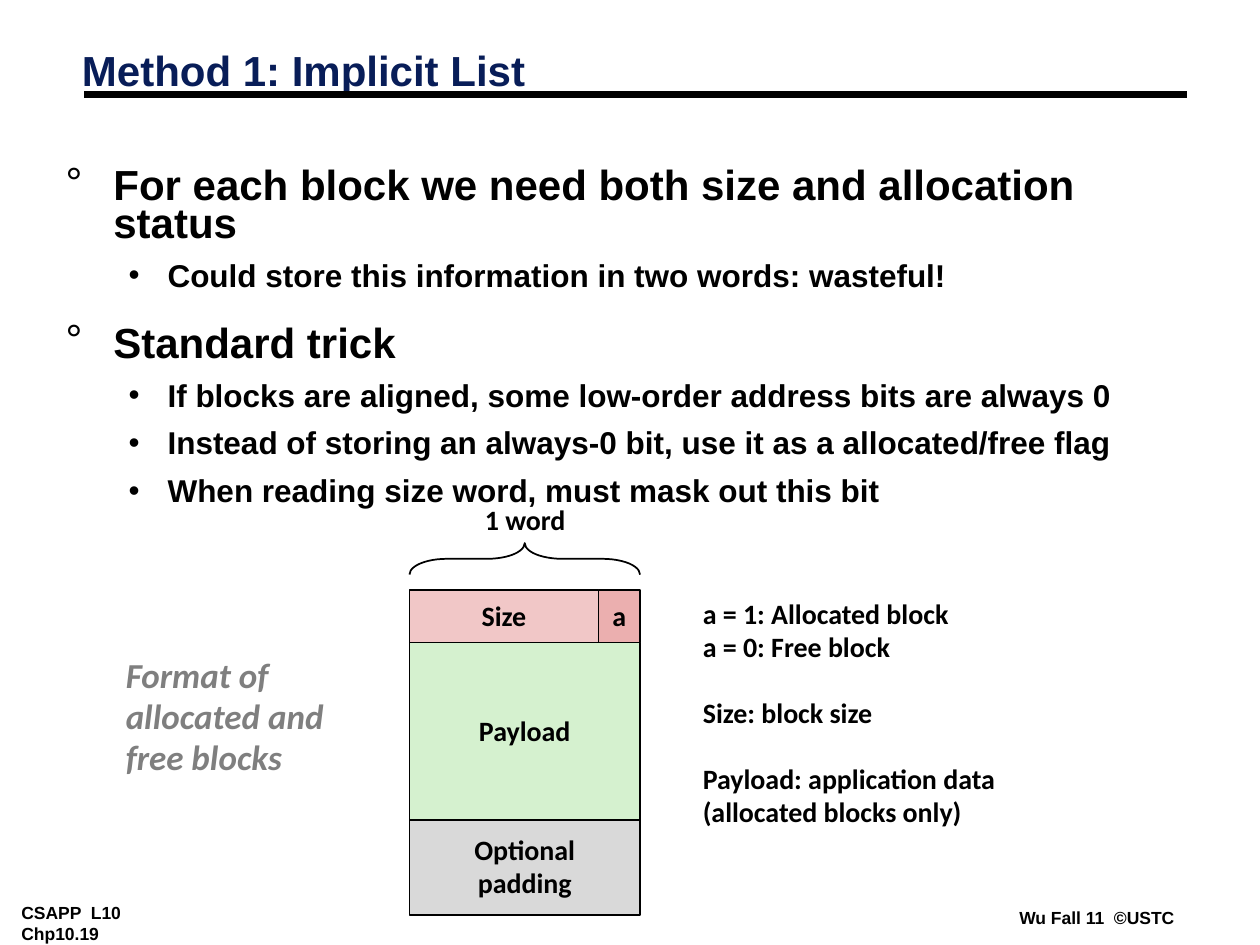
import dataclasses

import pptx
import pptx.dml.color
import pptx.enum.shapes
import pptx.enum.text
import pptx.oxml
import pptx.oxml.ns
import pptx.util
from pptx.util import Inches

ALIGN = pptx.enum.text.PP_ALIGN
ANCHOR = pptx.enum.text.MSO_ANCHOR
FIT = pptx.enum.text.MSO_AUTO_SIZE
SHAPES = pptx.enum.shapes.MSO_SHAPE


@dataclasses.dataclass(frozen=True)
class Theme:
    """Colours, fonts and type sizes of the slide."""
    ink: str = "000000"
    title: str = "081D58"
    caption: str = "7F7F7F"
    size_field: str = "F1C7C7"
    flag_field: str = "EBAFAF"
    payload: str = "D5F1CF"
    padding: str = "D9D9D9"
    text_font: str = "Arial"
    diagram_font: str = "Calibri"
    heading_size: int = 24
    item_size: int = 18
    caption_size: int = 20
    label_size: int = 16
    footer_size: int = 10


THEME = Theme()


def rgb(color):
    """Turn a hex string into a colour."""
    return pptx.dml.color.RGBColor.from_string(color)


def write_paragraph(frame, text, *, first=False, font=THEME.diagram_font, size=THEME.label_size,
                    color=THEME.ink, italic=False, align=ALIGN.LEFT, spacing=0.98, before=0,
                    level=0, bullet=None, margin=0, hanging=0):
    """Write one formatted paragraph into a text frame."""
    paragraph = frame.paragraphs[0] if first else frame.add_paragraph()
    paragraph.level = level
    paragraph.alignment = align
    paragraph.line_spacing = spacing
    paragraph.space_before = pptx.util.Pt(0 if first else before)
    properties = paragraph._p.get_or_add_pPr()
    properties.set("marL", str(Inches(margin)))
    properties.set("indent", str(-Inches(hanging)))
    if bullet:
        namespace = pptx.oxml.ns.nsdecls("a")
        for xml in (f'<a:buClr {namespace}><a:srgbClr val="{THEME.ink}"/></a:buClr>',
                    f'<a:buFont {namespace} typeface="{THEME.text_font}"/>',
                    f'<a:buChar {namespace} char="{bullet}"/>'):
            properties.append(pptx.oxml.parse_xml(xml))
    run = paragraph.add_run()
    run.text = text
    run.font.name = font
    run.font.size = pptx.util.Pt(size)
    run.font.bold = True
    run.font.italic = italic
    run.font.color.rgb = rgb(color)


class SlideBuilder:
    """Holds the theme and the current slide."""

    def __init__(self, slide, theme):
        self.slide = slide
        self.theme = theme

    def place(self, shape, left, top, width, height):
        """Move and size a shape."""
        shape.left, shape.top = Inches(left), Inches(top)
        shape.width, shape.height = Inches(width), Inches(height)

    def title(self, text, box):
        """Fill the title placeholder."""
        shape = self.slide.shapes.title
        self.place(shape, *box)
        frame = shape.text_frame
        frame.vertical_anchor = ANCHOR.MIDDLE
        frame.auto_size = FIT.NONE
        write_paragraph(frame, text, first=True, font=self.theme.text_font,
                        size=self.theme.heading_size, color=self.theme.title,
                        spacing=0.87, margin=0.13, hanging=0.13)

    def outline(self, items, box):
        """Fill the body placeholder with a two-level list."""
        shape = self.slide.placeholders[1]
        self.place(shape, *box)
        frame = shape.text_frame
        frame.auto_size = FIT.NONE
        formats = (
            dict(size=self.theme.heading_size, spacing=0.75, before=19.5,
                 bullet="°", margin=0.38, hanging=0.38),
            dict(size=self.theme.item_size, spacing=0.85, before=9,
                 bullet="•", margin=0.81, hanging=0.31),
        )
        for index, (level, text) in enumerate(items):
            write_paragraph(frame, text, first=index == 0, level=level,
                            font=self.theme.text_font, **formats[level])

    def label(self, groups, box, insets=(0.1, 0.05), **style):
        """Add a text box whose groups of lines stand one line apart."""
        shape = self.slide.shapes.add_textbox(*map(Inches, box))
        frame = shape.text_frame
        frame.word_wrap = False
        frame.auto_size = FIT.SHAPE_TO_FIT_TEXT
        frame.margin_left = frame.margin_right = Inches(insets[0])
        frame.margin_top = frame.margin_bottom = Inches(insets[1])
        for group_index, lines in enumerate(groups):
            for line_index, line in enumerate(lines):
                write_paragraph(frame, line, first=group_index == line_index == 0,
                                before=0 if line_index else 19, **style)

    def field(self, lines, fill, box):
        """Add a filled rectangle with centred text."""
        shape = self.slide.shapes.add_shape(SHAPES.RECTANGLE, *map(Inches, box))
        shape.shadow.inherit = False
        shape.fill.solid()
        shape.fill.fore_color.rgb = rgb(fill)
        self.outline_stroke(shape.line, 1)
        frame = shape.text_frame
        frame.word_wrap = False
        frame.vertical_anchor = ANCHOR.MIDDLE
        for index, line in enumerate(lines):
            write_paragraph(frame, line, first=index == 0, align=ALIGN.CENTER)

    def brace(self, box):
        """Add a brace that points upwards."""
        shape = self.slide.shapes.add_shape(SHAPES.RIGHT_BRACE, *map(Inches, box))
        shape.rotation = 270
        shape.adjustments[0] = 1.19
        shape.shadow.inherit = False
        shape.fill.background()
        self.outline_stroke(shape.line, 1)

    def rule(self, left, right, top):
        """Add the heavy horizontal rule."""
        connector = self.slide.shapes.add_connector(
            pptx.enum.shapes.MSO_CONNECTOR.STRAIGHT, *map(Inches, (left, top, right, top)))
        self.outline_stroke(connector.line, 4.5)
        connector._element.spPr.append(
            pptx.oxml.parse_xml(f'<a:effectLst {pptx.oxml.ns.nsdecls("a")}/>'))

    def outline_stroke(self, line, width):
        """Set a solid ink line."""
        line.color.rgb = rgb(self.theme.ink)
        line.width = pptx.util.Pt(width)


def main():
    """Build and save the slide."""
    presentation = pptx.Presentation()
    presentation.slide_width, presentation.slide_height = Inches(10), Inches(7.5)
    slide = presentation.slides.add_slide(presentation.slide_layouts[1])
    builder = SlideBuilder(slide, THEME)

    footer = dict(insets=(0.07, 0.03), font=THEME.text_font, size=THEME.footer_size, spacing=1)
    builder.label([["CSAPP  L10 Chp10.19"]], (0.1, 7.13, 1.58, 0.22), **footer)
    builder.label([["Wu Fall 11  ©USTC"]], (8.02, 7.17, 1.38, 0.22), **footer)
    builder.rule(0.67, 9.42, 0.75)
    builder.title("Method 1: Implicit List", (0.55, 0.36, 7.21, 0.45))
    builder.outline([
        (0, "For each block we need both size and allocation status"),
        (1, "Could store this information in two words: wasteful!"),
        (0, "Standard trick"),
        (1, "If blocks are aligned, some low-order address bits are always 0"),
        (1, "Instead of storing an always-0 bit, use it as a allocated/free flag"),
        (1, "When reading size word, must mask out this bit"),
    ], (0.42, 1.3, 9.03, 2.79))

    left, top, width, flag_width = 3.25, 4.68, 1.83, 0.33
    header_height, payload_height, padding_height = 0.42, 1.41, 0.75
    size_width = width - flag_width
    payload_top = top + header_height
    builder.field(["Size"], THEME.size_field, (left, top, size_width, header_height))
    builder.field(["a"], THEME.flag_field, (left + size_width, top, flag_width, header_height))
    builder.field(["Payload"], THEME.payload, (left, payload_top, width, payload_height))
    builder.field(["Optional", "padding"], THEME.padding,
                  (left, payload_top + payload_height, width, padding_height))
    builder.brace((4.04, 3.52, 0.25, width))
    builder.label([["1 word"]], (3.75, 3.95, 0.84, 0.36))
    builder.label([["Format of", "allocated and", "free blocks"]], (0.9, 5.15, 1.77, 1.08),
                  size=THEME.caption_size, color=THEME.caption, italic=True)
    builder.label([["a = 1: Allocated block", "a = 0: Free block"],
                   ["Size: block size"],
                   ["Payload: application data", "(allocated blocks only)"]],
                  (5.48, 4.7, 2.53, 2.19))
    presentation.save("out.pptx")


if __name__ == "__main__":
    main()
